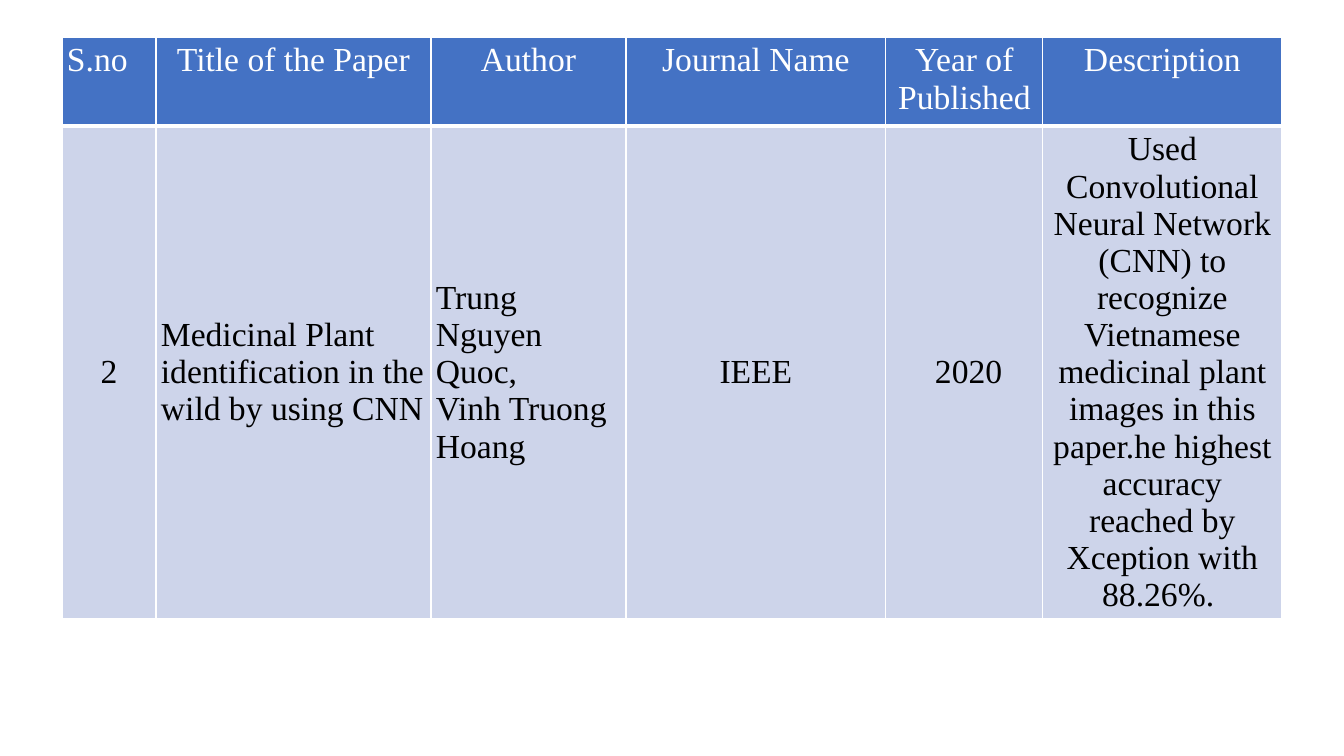
import pptx
import pptx.util
import pptx.dml.color
import pptx.enum.text
import lxml.etree
import pptx.oxml.ns

PX = 914400 / 100.8
WHITE, BLACK, BLUE, PALE = "FFFFFF", "000000", "4472C4", "CDD4EA"
ALIGN = pptx.enum.text.PP_ALIGN
ANCHOR = pptx.enum.text.MSO_ANCHOR


def px(length):
    return pptx.util.Emu(round(length * PX))


def write(cell, text, color, align, anchor):
    cell.vertical_anchor = anchor
    cell.margin_left = cell.margin_right = px(5)
    cell.margin_top = cell.margin_bottom = px(5)
    paragraph = cell.text_frame.paragraphs[0]
    paragraph.text = text
    paragraph.alignment = align
    for run in paragraph.runs:
        run.font.name = "Times New Roman"
        run.font.size = pptx.util.Pt(24)
        run.font.bold = False
        run.font.color.rgb = pptx.dml.color.RGBColor.from_string(color)


presentation = pptx.Presentation()
presentation.slide_width, presentation.slide_height = px(1344), px(756)
slide = presentation.slides.add_slide(presentation.slide_layouts[6])

# Survey content: text and alignment of each cell
headings = [
    ("S.no", ALIGN.LEFT),
    ("Title of the Paper", ALIGN.CENTER),
    ("Author", ALIGN.CENTER),
    ("Journal Name", ALIGN.CENTER),
    ("Year of Published", ALIGN.CENTER),
    ("Description", ALIGN.CENTER),
]
paper = [
    ("2", ALIGN.CENTER),
    ("Medicinal Plant identification in the wild by using CNN", ALIGN.LEFT),
    ("Trung Nguyen Quoc,\nVinh Truong Hoang", ALIGN.LEFT),
    ("IEEE", ALIGN.CENTER),
    (" 2020", ALIGN.CENTER),
    ("Used Convolutional Neural Network (CNN) to recognize Vietnamese "
     "medicinal plant images in this paper.he highest accuracy reached by "
     "Xception with 88.26%. ", ALIGN.CENTER),
]
column_widths = [94, 275, 195, 260, 157, 239]
row_heights = [89, 384]

# Table grid
survey = slide.shapes.add_table(
    2, 6, px(62), px(37), px(sum(column_widths)), px(sum(row_heights))).table
for column, width in zip(survey.columns, column_widths):
    column.width = px(width)
for row, height in zip(survey.rows, row_heights):
    row.height = px(height)

# Row styles: text colour, fill, anchor, widths of top and bottom borders
rows = [
    (headings, WHITE, BLUE, ANCHOR.TOP, 1, 3),
    (paper, BLACK, PALE, ANCHOR.MIDDLE, 3, 1),
]
for row_index, (entries, color, fill, anchor, top, bottom) in enumerate(rows):
    for column_index, (text, align) in enumerate(entries):
        cell = survey.cell(row_index, column_index)
        write(cell, text, color=color, align=align, anchor=anchor)

        # White borders come before the fill in the cell properties
        properties = cell._tc.get_or_add_tcPr()
        for side, points in (("L", 1), ("R", 1), ("T", top), ("B", bottom)):
            border = lxml.etree.SubElement(
                properties, pptx.oxml.ns.qn(f"a:ln{side}"), w=str(pptx.util.Pt(points)))
            paint = lxml.etree.SubElement(border, pptx.oxml.ns.qn("a:solidFill"))
            lxml.etree.SubElement(paint, pptx.oxml.ns.qn("a:srgbClr"), val=WHITE)
        cell.fill.solid()
        cell.fill.fore_color.rgb = pptx.dml.color.RGBColor.from_string(fill)

presentation.save("out.pptx")
